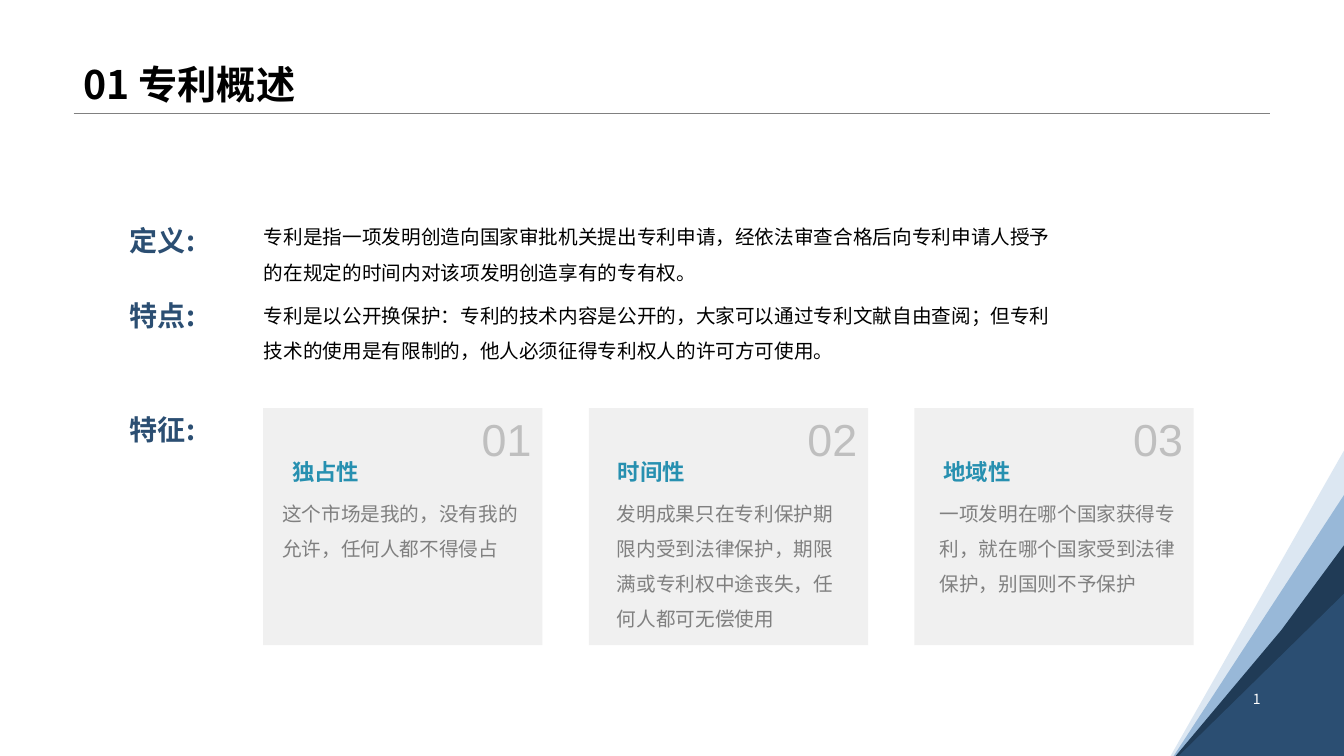
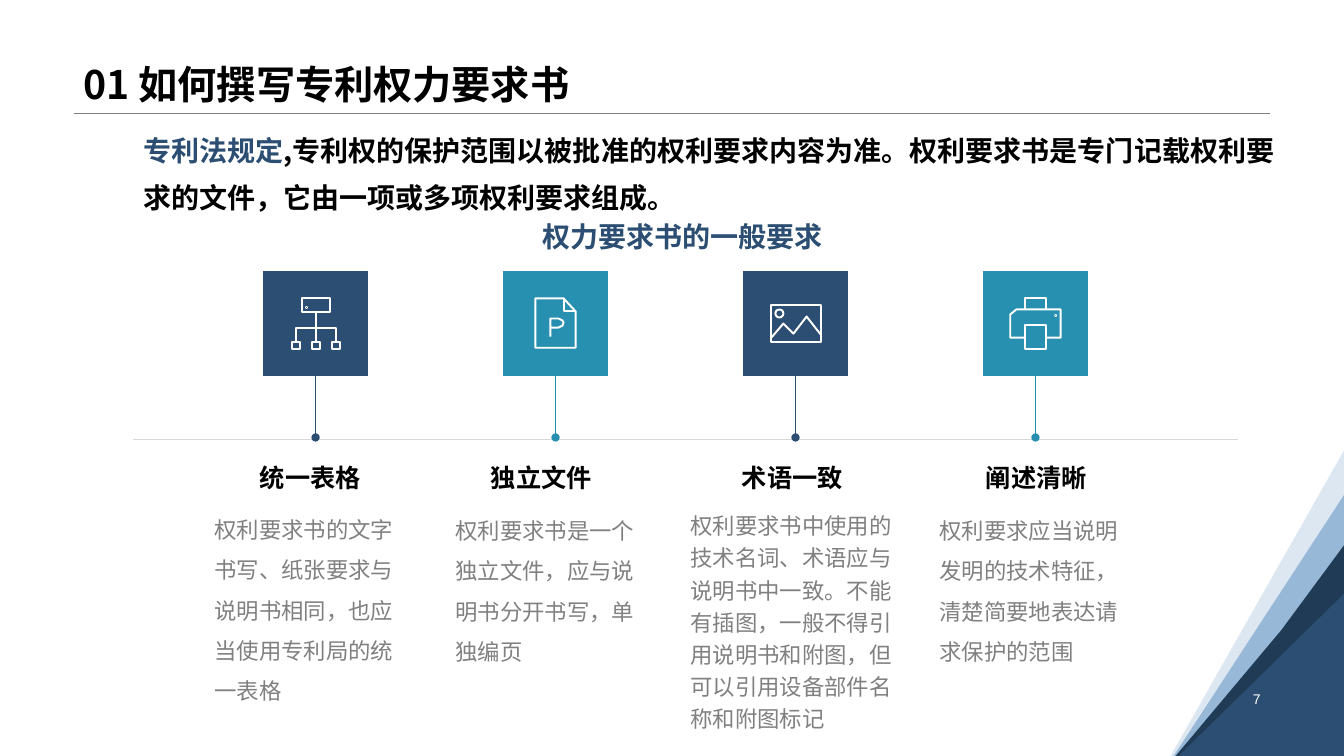
from pptx import Presentation
from pptx.dml.color import RGBColor
from pptx.enum.shapes import MSO_CONNECTOR, MSO_SHAPE
from pptx.enum.text import MSO_ANCHOR, PP_ALIGN
from pptx.oxml.xmlchemy import OxmlElement
from pptx.util import Inches, Pt

RECT, OVAL = MSO_SHAPE.RECTANGLE, MSO_SHAPE.OVAL
STRAIGHT = MSO_CONNECTOR.STRAIGHT
LEFT, CENTER, RIGHT = PP_ALIGN.LEFT, PP_ALIGN.CENTER, PP_ALIGN.RIGHT
TOP, MIDDLE, BOTTOM = MSO_ANCHOR.TOP, MSO_ANCHOR.MIDDLE, MSO_ANCHOR.BOTTOM
SANS, ARIAL = "Noto Sans CJK SC", "Arial"
NAVY, TEAL, BLACK, WHITE = "2B4E72", "2790B0", "000000", "FFFFFF"
GRAY, SILVER, CARD, PALE = "808080", "BFBFBF", "F0F0F0", "D8D8D8"
rgb = RGBColor.from_string


def text(s, x, y, w, h, t, size, color, bold=False, spacing=1.0,
         align=LEFT, anchor=TOP, font=SANS, wrap=True):
    tf = s.shapes.add_textbox(Inches(x), Inches(y), Inches(w), Inches(h)).text_frame
    tf.word_wrap = wrap
    tf.vertical_anchor = anchor
    p = tf.paragraphs[0]
    p.add_run().text = t
    p.alignment = align
    p.line_spacing = spacing
    p.font.size = Pt(size)
    p.font.bold = bold
    p.font.color.rgb = rgb(color)
    p.font.name = font
    ea = OxmlElement("a:ea")
    ea.set("typeface", font)
    p._p.pPr.find(ea.tag.replace("}ea", "}defRPr")).append(ea)
    return p


def outline(s, points, fill=None, closed=True):
    points = [(Inches(x), Inches(y)) for x, y in points]
    builder = s.shapes.build_freeform(*points[0], scale=1.0)
    builder.add_line_segments(points[1:], close=closed)
    sp = builder.convert_to_shape()
    sp.shadow.inherit = False
    if fill:
        sp.fill.solid()
        sp.fill.fore_color.rgb = rgb(fill)
        sp.line.fill.background()
    else:
        sp.fill.background()
        sp.line.color.rgb = rgb(WHITE)
        sp.line.width = Pt(1.4)


prs = Presentation()
prs.slide_width, prs.slide_height = Inches(13.33), Inches(7.5)

wedges = [
    ([(11.61, 7.5), (13.33, 4.47), (13.33, 7.5)], "DCE7F2"),
    ([(11.64, 7.5), (13.33, 4.91), (13.33, 7.5)], "98B8D8"),
    ([(11.66, 7.5), (12.71, 6.25), (13.33, 5.41), (13.33, 7.5)], "203B56"),
    ([(11.69, 7.5), (13.33, 5.89), (13.33, 7.5)], NAVY),
]
slides, lines = [], []
for title, number, number_font in [
    ("01 专利概述", "1", SANS),
    ("01 如何撰写专利权力要求书", "7", ARIAL),
]:
    s = prs.slides.add_slide(prs.slide_layouts[6])
    slides.append(s)
    lines.append((s, 0.73, 1.12, 12.6, 1.12, GRAY, None))
    for points, color in wedges:
        outline(s, points, color)
    text(s, 0.73, 0, 11.87, 1.12, title, 28, BLACK, True, 0.9, anchor=BOTTOM)
    text(s, 9.42, 6.82, 3.18, 0.23, number, 10, WHITE,
         align=RIGHT, anchor=MIDDLE, font=number_font)

s = slides[0]
for y, label in [(2.17, "定义:"), (2.91, "特点:"), (4.04, "特征:")]:
    text(s, 1.19, y, 1.33, 0.44, label, 20, NAVY, True)
for y, body in [
    (2.07, "专利是指一项发明创造向国家审批机关提出专利申请，经依法审查合格后向专利申请人授予的在规定的时间内对该项发明创造享有的专有权。"),
    (2.85, "专利是以公开换保护：专利的技术内容是公开的，大家可以通过专利文献自由查阅；但专利技术的使用是有限制的，他人必须征得专利权人的许可方可使用。"),
]:
    text(s, 2.52, y, 8.1, 0.77, body, 14, BLACK, spacing=1.5)

cards = [
    ("独占性", 2.7, 2.59, "这个市场是我的，没有我的允许，任何人都不得侵占"),
    ("时间性", 6.02, 2.41, "发明成果只在专利保护期限内受到法律保护，期限满或专利权中途丧失，任何人都可无偿使用"),
    ("地域性", 9.22, 2.59, "一项发明在哪个国家获得专利，就在哪个国家受到法律保护，别国则不予保护"),
]
for i, (name, body_x, body_w, body) in enumerate(cards):
    x = 2.61 + 3.23 * i
    sp = s.shapes.add_shape(RECT, Inches(x), Inches(4.05), Inches(2.77), Inches(2.35))
    sp.shadow.inherit = False
    sp.fill.solid()
    sp.fill.fore_color.rgb = rgb(CARD)
    sp.line.fill.background()
    text(s, x + 0.18, 4.5, 0.88, 0.37, name, 16, TEAL, True, align=CENTER, wrap=False)
    text(s, body_x, 4.81, body_w, 1.47, body, 14, GRAY, spacing=1.5)
    text(s, x + 2.07, 4.04, 0.7, 0.64, f"0{i + 1}", 32, SILVER, font=ARIAL, wrap=False)

s = slides[1]
p = text(s, 1.32, 1.14, 11.48, 0.99, "专利法规定", 20, NAVY, True, 1.4)
r = p.add_run()
r.text = ",专利权的保护范围以被批准的权利要求内容为准。权利要求书是专门记载权利要求的文件，它由一项或多项权利要求组成。"
r.font.color.rgb = rgb(BLACK)
text(s, 5.28, 2.13, 4.24, 0.44, "权力要求书的一般要求", 20, NAVY, True)
lines.append((s, 1.32, 4.36, 12.28, 4.36, PALE, None))

org_icon = [
    ([(-0.13, -0.25), (0.14, -0.25), (0.14, -0.11), (-0.13, -0.11)], True),
    ([(-0.19, 0.18), (-0.19, 0.04), (0, 0.04), (0, -0.11), (0, 0.18),
      (0, 0.04), (0.2, 0.04), (0.2, 0.18)], False),
]
for x in (-0.19, 0, 0.2):
    org_icon.append(([(x - 0.04, 0.18), (x + 0.04, 0.18),
                      (x + 0.04, 0.25), (x - 0.04, 0.25)], True))
page_icon = [
    ([(-0.2, -0.25), (0.08, -0.25), (0.2, -0.12), (0.2, 0.24), (-0.2, 0.24)], True),
    ([(0.08, -0.25), (0.08, -0.12), (0.2, -0.12)], False),
    ([(-0.05, 0.13), (-0.05, -0.05), (0.03, -0.05), (0.07, -0.03),
      (0.08, -0.01), (0.07, 0.02), (0.03, 0.04), (-0.05, 0.04)], False),
]
photo_icon = [
    ([(-0.24, -0.18), (0.25, -0.18), (0.25, 0.18), (-0.24, 0.18)], True),
    ([(-0.24, 0.14), (-0.12, 0), (-0.02, 0.1), (0.11, -0.07), (0.25, 0.11)], False),
]
printer_icon = [
    ([(-0.1, 0.14), (-0.25, 0.14), (-0.25, -0.09), (-0.19, -0.14),
      (0.25, -0.14), (0.25, 0.14), (0.1, 0.14)], False),
    ([(-0.1, -0.14), (-0.1, -0.25), (0.1, -0.25), (0.1, -0.14)], False),
    ([(-0.1, 0.01), (0.1, 0.01), (0.1, 0.25), (-0.1, 0.25)], True),
]
columns = [
    (NAVY, org_icon, (-0.09, -0.16, 0.02), "统一表格", 2.48, 2.03, 4.94, 2.17, 1.5,
     "权利要求书的文字书写、纸张要求与说明书相同，也应当使用专利局的统一表格"),
    (TEAL, page_icon, None, "独立文件", 4.77, 4.42, 4.95, 2.17, 1.5,
     "权利要求书是一个独立文件，应与说明书分开书写，单独编页"),
    (NAVY, photo_icon, (-0.16, -0.1, 0.08), "术语一致", 7.26, 6.75, 4.98, 2.26, 1.2,
     "权利要求书中使用的技术名词、术语应与说明书中一致。不能有插图，一般不得引用说明书和附图，但可以引用设备部件名称和附图标记"),
    (TEAL, printer_icon, (0.2, -0.08, 0.02), "阐述清晰", 9.68, 9.22, 4.95, 2.17, 1.5,
     "权利要求应当说明发明的技术特征，清楚简要地表达请求保护的范围"),
]
side = 1.04
for i, (color, icon, dot, head, head_x, body_x, body_y, body_w, spacing, body) in enumerate(columns):
    x, y = 2.61 + 2.38 * i, 2.69
    cx, cy = x + side / 2, y + side / 2
    tile = s.shapes.add_shape(RECT, Inches(x), Inches(y), Inches(side), Inches(side))
    tile.shadow.inherit = False
    tile.fill.solid()
    tile.fill.fore_color.rgb = rgb(color)
    tile.line.fill.background()
    lines.append((s, cx, y + side, cx, 4.34, color, tile))
    for points, closed in icon:
        outline(s, [(cx + dx, cy + dy) for dx, dy in points], closed=closed)
    if dot:
        dx, dy, d = dot
        sp = s.shapes.add_shape(OVAL, Inches(cx + dx - d / 2), Inches(cy + dy - d / 2),
                                Inches(d), Inches(d))
        sp.shadow.inherit = False
        sp.fill.background()
        sp.line.color.rgb = rgb(WHITE)
        sp.line.width = Pt(1.4 if d > 0.05 else 0.5)
    text(s, head_x, 4.54, 1.71, 0.4, head, 18, BLACK, True)
    text(s, body_x, body_y, body_w, 2.07, body, 16, GRAY, spacing=spacing)

for s, x1, y1, x2, y2, color, tile in lines:
    cn = s.shapes.add_connector(STRAIGHT, Inches(x1), Inches(y1), Inches(x2), Inches(y2))
    cn.line.color.rgb = rgb(color)
    cn.line.width = Pt(0.25)
    cn._element.spPr.append(OxmlElement("a:effectLst"))
    if tile:
        cn.begin_connect(tile, 2)
        tail = OxmlElement("a:tailEnd")
        tail.set("type", "oval")
        cn.line._get_or_add_ln().append(tail)

prs.save("out.pptx")
